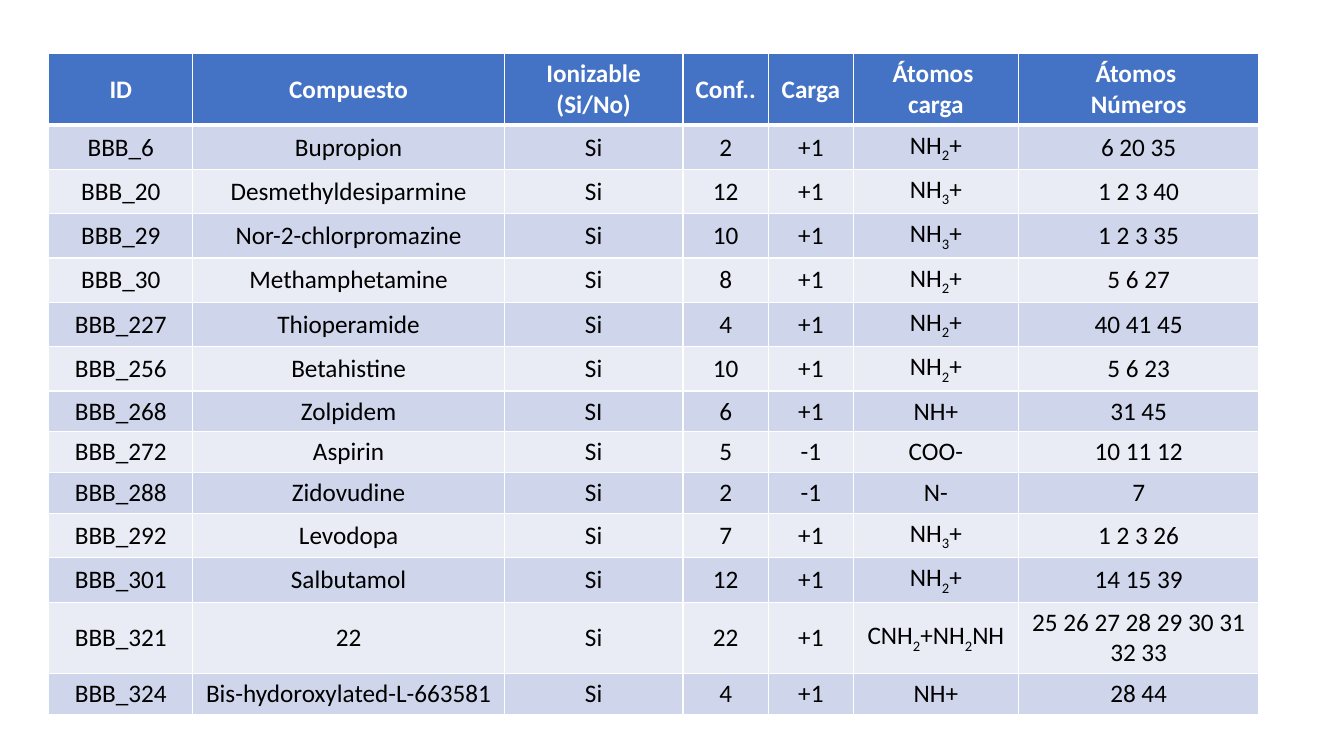
from dataclasses import dataclass

from lxml.etree import SubElement
from pptx import Presentation
from pptx.dml.color import RGBColor
from pptx.enum.text import MSO_ANCHOR, PP_ALIGN
from pptx.oxml.ns import qn
from pptx.util import Cm, Pt


@dataclass(frozen=True)
class Theme:
    font: str = "Calibri"
    size: int = 18
    head: str = "4472C4"
    bands: tuple = ("CFD5EA", "E9EBF5")
    light: str = "FFFFFF"
    dark: str = "000000"
    thin: int = 1
    thick: int = 3


THEME = Theme()
WIDTHS = (3.63, 7.85, 4.5, 2.16, 2.13, 4.17, 6.05)
HEIGHT = 1.03

# Digits between bars are subscripts.
ROWS = (
    ("ID", "Compuesto", "Ionizable (Si/No)", "Conf..", "Carga",
     "Átomos \ncarga", "Átomos \nNúmeros"),
    ("BBB_6", "Bupropion", "Si", "2", "+1", "NH|2|+", "6 20 35"),
    ("BBB_20", "Desmethyldesiparmine", "Si", "12", "+1", "NH|3|+", "1 2 3 40"),
    ("BBB_29", "Nor-2-chlorpromazine", "Si", "10", "+1", "NH|3|+", "1 2 3 35"),
    ("BBB_30", "Methamphetamine", "Si", "8", "+1", "NH|2|+", "5 6 27"),
    ("BBB_227", "Thioperamide", "Si", "4", "+1", "NH|2|+", "40 41 45"),
    ("BBB_256", "Betahistine", "Si", "10", "+1", "NH|2|+", "5 6 23"),
    ("BBB_268", "Zolpidem", "SI", "6", "+1", "NH+", "31 45"),
    ("BBB_272", "Aspirin", "Si", "5", "-1", "COO-", "10 11 12"),
    ("BBB_288", "Zidovudine", "Si", "2", "-1", "N-", "7"),
    ("BBB_292", "Levodopa", "Si", "7", "+1", "NH|3|+", "1 2 3 26"),
    ("BBB_301", "Salbutamol", "Si", "12", "+1", "NH|2|+", "14 15 39"),
    ("BBB_321", "22", "Si", "22", "+1", "CNH|2|+NH|2|NH",
     "25 26 27 28 29 30 31 32 33"),
    ("BBB_324", "Bis-hydoroxylated-L-663581", "Si", "4", "+1", "NH+", "28 44"),
)


def write(frame, text, color=THEME.dark, bold=False, align=PP_ALIGN.CENTER):
    """Fill a text frame: one paragraph per line, |x| as a subscript."""
    for i, line in enumerate(text.split("\n")):
        para = frame.add_paragraph() if i else frame.paragraphs[0]
        para.alignment = align
        for j, part in enumerate(line.split("|")):
            run = para.add_run()
            run.text = part
            font = run.font
            font.name, font.size, font.bold = THEME.font, Pt(THEME.size), bold
            font.color.rgb = RGBColor.from_string(color)
            if j % 2:
                font._element.set("baseline", "-25000")


def border(cell, **widths):
    """Draw the cell's edges, with widths in points by side: L, R, T, B."""
    props = cell._tc.get_or_add_tcPr()
    for side in "LRTB":
        width = Pt(widths.get(side, THEME.thin))
        line = SubElement(props, qn(f"a:ln{side}"), w=str(width))
        fill = SubElement(line, qn("a:solidFill"))
        SubElement(fill, qn("a:srgbClr"), val=THEME.light)


def paint(cell, color):
    cell.fill.solid()
    cell.fill.fore_color.rgb = RGBColor.from_string(color)


def add_grid(slide, left, top):
    """Place the compound table with its top left corner at the given point."""
    table = slide.shapes.add_table(
        len(ROWS), len(WIDTHS), left, top,
        Cm(sum(WIDTHS)), Cm(HEIGHT * len(ROWS))).table
    for col, width in zip(table.columns, WIDTHS):
        col.width = Cm(width)
    for r, texts in enumerate(ROWS):
        table.rows[r].height = Cm(HEIGHT)
        head = r == 0
        edges = {0: {"B": THEME.thick}, 1: {"T": THEME.thick}}.get(r, {})
        for c, text in enumerate(texts):
            cell = table.cell(r, c)
            cell.vertical_anchor = MSO_ANCHOR.MIDDLE
            border(cell, **edges)
            paint(cell, THEME.head if head else THEME.bands[(r - 1) % 2])
            write(cell.text_frame, text, bold=head,
                  color=THEME.light if head else THEME.dark)


def main():
    deck = Presentation()
    deck.slide_width, deck.slide_height = Cm(33.87), Cm(19.05)
    slide = deck.slides.add_slide(deck.slide_layouts[6])
    add_grid(slide, Cm(1.23), Cm(1.35))
    deck.save("out.pptx")


if __name__ == "__main__":
    main()
